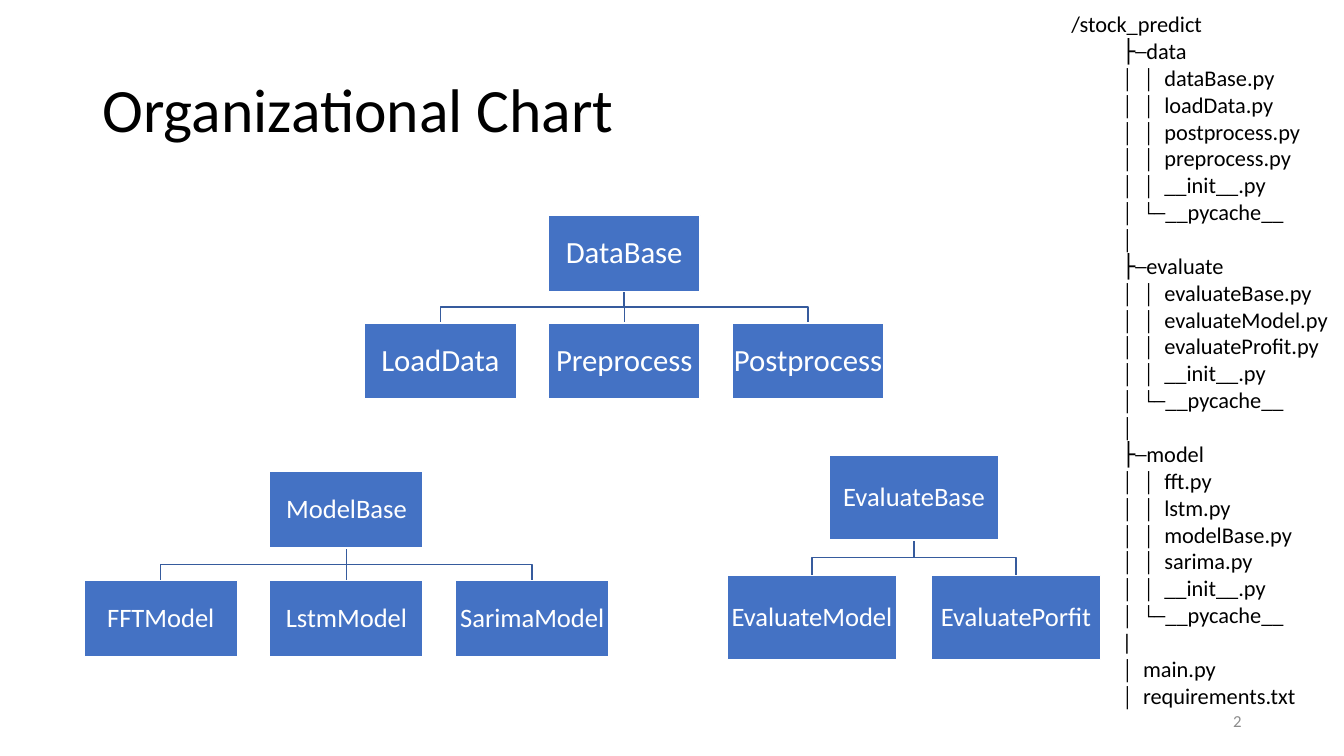
from pptx import Presentation
from pptx.dml.color import RGBColor as Rgb
from pptx.enum.shapes import MSO_CONNECTOR as Link, MSO_SHAPE as Shape
from pptx.enum.text import MSO_ANCHOR as Anchor, PP_ALIGN as Align
from pptx.oxml.ns import qn
from lxml.etree import SubElement as Sub

PX = 9525
BLUE, LINE, WHITE, BLACK, GREY = "4472C4", "365B9D", "FFFFFF", "000000", "8C8C8C"
GAP = 0.21  # space between boxes, as a share of box width

FILES = {
    "data": ["dataBase.py", "loadData.py", "postprocess.py", "preprocess.py"],
    "evaluate": ["evaluateBase.py", "evaluateModel.py", "evaluateProfit.py"],
    "model": ["fft.py", "lstm.py", "modelBase.py", "sarima.py"],
}
CHARTS = [
    ((347, 205, 495), "DataBase", ["LoadData", "Preprocess", "Postprocess"], 22),
    ((80, 449, 500), "ModelBase", ["FFTModel", "LstmModel", "SarimaModel"], 19),
    ((693, 434, 355), "EvaluateBase", ["EvaluateModel", "EvaluatePorfit"], 19),
]


def px(*nums):
    return [round(n * PX) for n in nums]


def color(code):
    return Rgb.from_string(code)


def style(para, size, code, **form):
    for key, val in form.items():
        setattr(para, key, val)
    for key, val in {"name": "Calibri", "size": round(size * 12700)}.items():
        setattr(para.font, key, val)
    para.font.color.rgb = color(code)


def frame(shape, inset=None, **form):
    text = shape.text_frame
    if inset is not None:
        for side in ("left", "top", "right", "bottom"):
            setattr(text, f"margin_{side}", inset * PX)
    for key, val in {"word_wrap": True, **form}.items():
        setattr(text, key, val)
    return text


def stroke(item, code):
    item.line.color.rgb = color(code)
    item.line.width = 12700


def card(slide, box, label, size):
    rect = slide.shapes.add_shape(Shape.RECTANGLE, *px(*box))
    rect.shadow.inherit = False
    rect.fill.solid()
    rect.fill.fore_color.rgb = color(BLUE)
    stroke(rect, WHITE)
    text = frame(rect, 1, vertical_anchor=Anchor.MIDDLE)
    text.text = label
    style(text.paragraphs[0], size, WHITE, alignment=Align.CENTER, line_spacing=0.9)
    return rect


def elbow(slide, start, end):
    (x1, y1), (x2, y2) = start, end
    mid = (y1 + y2) / 2
    pen = slide.shapes.build_freeform(*px(x1, y1))
    pen.add_line_segments([px(x1, mid), px(x2, mid), px(x2, y2)], close=False)
    bend = pen.convert_to_shape()
    bend.shadow.inherit = False
    bend.fill.background()
    stroke(bend, LINE)


def stem(slide, start, end):
    link = slide.shapes.add_connector(Link.STRAIGHT, *px(*start, *end))
    Sub(link._element.spPr, qn("a:effectLst"))
    stroke(link, LINE)
    return link


def chart(slide, box, root, kids, size):
    left, top, span = box
    count = len(kids)
    wide = span / (count + GAP * (count - 1))
    high, step = wide / 2, wide * (1 + GAP)
    low = top + high + wide * GAP
    mid = left + span / 2
    start = mid, top + high

    # Lines lie behind the boxes
    stems = {}
    for i in range(count):
        end = left + i * step + wide / 2, low
        if 2 * i == count - 1:
            stems[i] = stem(slide, start, end)
        else:
            elbow(slide, start, end)

    # Root box and the row below it
    head = card(slide, (mid - wide / 2, top, wide, high), root, size)
    for i, kid in enumerate(kids):
        rect = card(slide, (left + i * step, low, wide, high), kid, size)
        if i in stems:
            stems[i].begin_connect(head, 2)
            stems[i].end_connect(rect, 0)


def listing(slide, box):
    rows = []
    for name, files in FILES.items():
        rows.append(f"├─{name}")
        rows += [f"│  │  {file}" for file in files + ["__init__.py"]]
        rows += ["│  └─__pycache__", "|" if name == "model" else "│"]
    rows += ["│  main.py", "│  requirements.txt"]

    text = frame(slide.shapes.add_textbox(*px(*box)))
    text.text = "\n".join(["/stock_predict"] + rows)
    for i, para in enumerate(text.paragraphs):
        if i:
            para.level = 1
            para._p.get_or_add_pPr().set("marL", str(48 * PX))
        style(para, 16, BLACK)


def title(slide, box, label):
    shape = slide.shapes.title
    for key, val in zip(("left", "top", "width", "height"), px(*box)):
        setattr(shape, key, val)
    text = frame(shape, vertical_anchor=Anchor.MIDDLE)
    text.text = label
    style(text.paragraphs[0], 44, BLACK, alignment=Align.LEFT, line_spacing=0.9)


def number(slide, box, label):
    text = frame(slide.shapes.add_textbox(*px(*box)), vertical_anchor=Anchor.MIDDLE)
    text.text = label
    style(text.paragraphs[0], 12, GREY, alignment=Align.RIGHT)


def main():
    deck = Presentation()
    deck.slide_width, deck.slide_height = px(1280, 720)
    slide = deck.slides.add_slide(deck.slide_layouts[5])
    title(slide, (88, 38, 1104, 139), "Organizational Chart")
    number(slide, (904, 667, 288, 38), "2")
    for args in CHARTS:
        chart(slide, *args)
    listing(slide, (1011, 5, 269, 682))
    deck.save("out.pptx")


if __name__ == "__main__":
    main()
